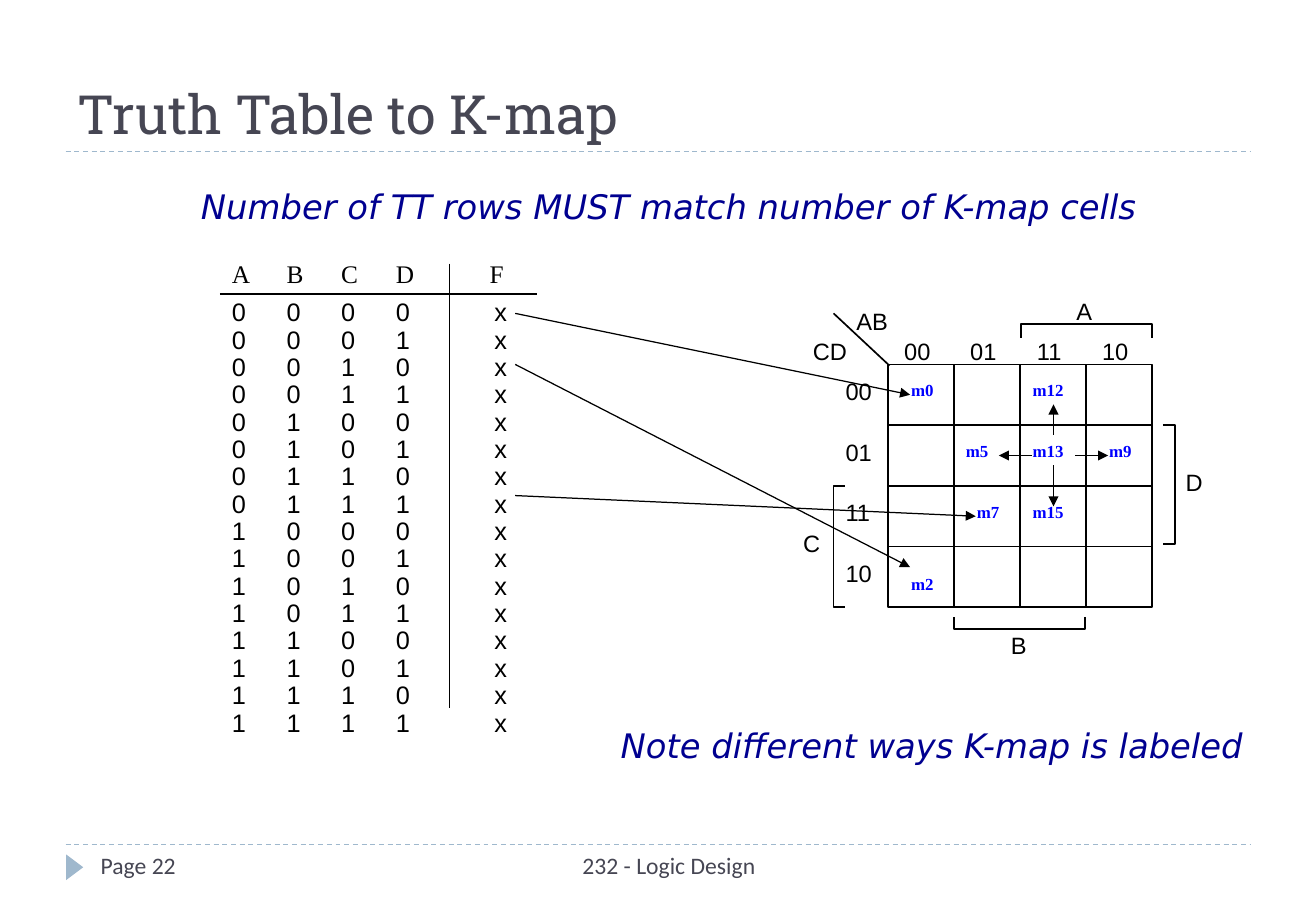
from dataclasses import dataclass

from lxml.etree import SubElement
from pptx import Presentation
from pptx.dml.color import RGBColor
from pptx.enum.dml import MSO_LINE
from pptx.enum.shapes import MSO_CONNECTOR, MSO_SHAPE
from pptx.enum.text import MSO_ANCHOR, MSO_AUTO_SIZE, PP_ALIGN
from pptx.oxml.ns import qn
from pptx.util import Inches, Pt

BLACK, SLATE, RULE, NAVY, BLUE = "000000", "464653", "9FB8CD", "000090", "0000FF"
LEFT, CENTER, RIGHT = PP_ALIGN.LEFT, PP_ALIGN.CENTER, PP_ALIGN.RIGHT
GRAY_CODES = ("00", "01", "11", "10")
MAP_LEFT, MAP_TOP, MAP_WIDTH, MAP_HEIGHT = 7.31, 3.0, 2.17, 2.0
CELL_WIDTH, CELL_HEIGHT = MAP_WIDTH / 4, MAP_HEIGHT / 4
TABLE_LEFT, TABLE_TOP, COLUMN_STEP = 1.81, 2.42, 0.45

Point = tuple[float, float]


@dataclass(frozen=True)
class Style:
    font: str
    size: float
    color: str = BLACK
    bold: bool = False
    italic: bool = False
    spacing: float = 1.0


@dataclass(frozen=True)
class Label:
    text: str
    left: float
    top: float
    width: float
    height: float
    style: Style
    align: PP_ALIGN = LEFT
    wrap: bool = False


@dataclass(frozen=True)
class Line:
    start: Point
    end: Point
    width: float = 1
    color: str = BLACK
    dashed: bool = False
    arrow: bool = False


TITLE = Style("Roboto Slab", 32, SLATE)
FOOTER = Style("Calibri", 14, SLATE)
NOTE = Style("DejaVu Sans", 20, NAVY, italic=True)
HEADER = Style("Times New Roman", 15)
BITS = Style("Arial", 15, spacing=0.9)
AXIS = Style("Arial", 14, spacing=0.9)
MINTERM = Style("Times New Roman", 10, BLUE, bold=True)

FOOTERS = [
    Label("232 - Logic Design", 3.43, 6.96, 4.15, 0.4, FOOTER, CENTER, True),
    Label("Page 22", 0.73, 6.96, 2.35, 0.4, FOOTER, wrap=True),
]
NOTES = [
    Label("Number of TT rows MUST match number of K-map cells",
          0.67, 1.48, 9.67, 0.44, NOTE, CENTER, True),
    Label("Note different ways K-map is labeled", 4.96, 5.92, 5.37, 0.44, NOTE, RIGHT),
]
VARIABLES = [
    Label("AB", 6.95, 2.5, 0.46, 0.31, AXIS),
    Label("CD", 6.59, 2.75, 0.48, 0.31, AXIS),
    Label("A", 8.76, 2.42, 0.33, 0.31, AXIS),
    Label("B", 8.22, 5.17, 0.33, 0.31, AXIS),
    Label("C", 6.5, 4.33, 0.36, 0.31, AXIS, CENTER),
    Label("D", 9.66, 3.83, 0.34, 0.31, AXIS),
]
MINTERMS = [
    Label(text, left, top, 0.48 if len(text) > 2 else 0.41, 0.27, MINTERM)
    for text, left, top in (
        ("m13", 8.4, 3.58), ("m12", 8.4, 3.08), ("m15", 8.4, 4.08),
        ("m5", 7.85, 3.58), ("m9", 9.03, 3.58), ("m0", 7.4, 3.08),
        ("m7", 7.94, 4.08), ("m2", 7.4, 4.67))
]
BRACKETS: list[list[Point]] = [
    [(8.4, 2.78), (8.4, 2.67), (9.48, 2.67), (9.48, 2.78)],
    [(6.95, 5), (6.86, 5), (6.86, 4), (6.95, 4)],
    [(8.93, 5.08), (8.93, 5.18), (7.85, 5.18), (7.85, 5.08)],
    [(9.57, 3.5), (9.67, 3.5), (9.67, 4.48), (9.57, 4.48)],
]
ARROWS = [
    Line(start, end, 0.75, arrow=True)
    for start, end in (
        ((4.24, 2.58), (7.49, 3.25)), ((4.24, 4.08), (8.03, 4.25)),
        ((4.24, 3), (7.49, 4.67)), ((8.85, 3.75), (9.12, 3.75)),
        ((8.67, 3.58), (8.67, 3.33)), ((8.67, 3.83), (8.67, 4.17)),
        ((8.49, 3.75), (8.22, 3.75)))
]


def rgb(color: str) -> RGBColor:
    return RGBColor.from_string(color)


def format_paragraphs(text_frame, style: Style, align: PP_ALIGN) -> None:
    for paragraph in text_frame.paragraphs:
        paragraph.alignment = align
        paragraph.line_spacing = style.spacing
        paragraph.space_before = paragraph.space_after = Pt(0)
        font = paragraph.font
        font.name, font.size = style.font, Pt(style.size)
        font.bold, font.italic = style.bold, style.italic
        font.color.rgb = rgb(style.color)


def add_label(slide, label: Label, tabs: tuple[float, ...] = ()) -> None:
    box = slide.shapes.add_textbox(
        Inches(label.left), Inches(label.top), Inches(label.width), Inches(label.height))
    text_frame = box.text_frame
    text_frame.word_wrap = label.wrap
    text_frame.text = label.text
    if tabs:
        properties = text_frame.paragraphs[0]._p.get_or_add_pPr()
        tab_list = SubElement(properties, qn("a:tabLst"))
        for position in tabs:
            SubElement(tab_list, qn("a:tab"), pos=str(Inches(position)), algn="l")
    format_paragraphs(text_frame, label.style, label.align)


def add_line(slide, line: Line):
    connector = slide.shapes.add_connector(
        MSO_CONNECTOR.STRAIGHT, *(Inches(value) for value in line.start + line.end))
    connector.line.color.rgb = rgb(line.color)
    connector.line.width = Pt(line.width)
    if line.dashed:
        connector.line.dash_style = MSO_LINE.DASH
    if line.arrow:
        SubElement(connector.line._get_or_add_ln(), qn("a:tailEnd"), type="triangle")
    SubElement(connector._element.spPr, qn("a:effectLst"))
    return connector


def outline(shape) -> None:
    shape.shadow.inherit = False
    shape.fill.background()
    shape.line.color.rgb = rgb(BLACK)
    shape.line.width = Pt(1)


def add_bracket(slide, points: list[Point]) -> None:
    corners = [(Inches(x), Inches(y)) for x, y in points]
    builder = slide.shapes.build_freeform(*corners[0])
    builder.add_line_segments(corners[1:], close=False)
    outline(builder.convert_to_shape())


def add_frame(slide) -> None:
    for y in (6.95, 1.25):
        add_line(slide, Line((0.54, y), (10.29, y), 0.75, RULE, dashed=True))
    marker = slide.shapes.add_shape(
        MSO_SHAPE.ISOSCELES_TRIANGLE, Inches(0.51), Inches(7.07), Inches(0.21), Inches(0.14))
    marker.rotation = 90
    marker.shadow.inherit = False
    marker.fill.solid()
    marker.fill.fore_color.rgb = rgb(RULE)
    marker.line.fill.background()
    title = slide.shapes.title
    title.left, title.top, title.width, title.height = map(Inches, (0.54, 0.17, 9.75, 1.08))
    title.text_frame.text = "Truth Table to K-map"
    title.text_frame.auto_size = MSO_AUTO_SIZE.NONE
    title.text_frame.vertical_anchor = MSO_ANCHOR.BOTTOM
    format_paragraphs(title.text_frame, TITLE, LEFT)


def add_truth_table(slide) -> None:
    for column in range(4):
        bits = "\n".join(str(row >> (3 - column) & 1) for row in range(16))
        left = TABLE_LEFT + column * COLUMN_STEP
        add_label(slide, Label(bits, left, TABLE_TOP, 0.33, 3.8, BITS))
    add_label(slide, Label("\n".join("x" * 16), 3.97, TABLE_TOP, 0.31, 3.8, BITS))
    add_line(slide, Line((TABLE_LEFT, TABLE_TOP), (4.42, TABLE_TOP)))
    add_line(slide, Line((3.7, 2.17), (3.7, 5.83)))
    header = Label("A\tB\tC\tD\tF", TABLE_LEFT, 2.08, 2.48, 0.36, HEADER, wrap=True)
    add_label(slide, header, (COLUMN_STEP, 2 * COLUMN_STEP, 3 * COLUMN_STEP, 2.12))


def add_karnaugh_map(slide) -> None:
    right, bottom = MAP_LEFT + MAP_WIDTH, MAP_TOP + MAP_HEIGHT
    grid = slide.shapes.add_shape(
        MSO_SHAPE.RECTANGLE, *map(Inches, (MAP_LEFT, MAP_TOP, MAP_WIDTH, MAP_HEIGHT)))
    outline(grid)
    for index in (1, 2, 3):
        x, y = MAP_LEFT + index * CELL_WIDTH, MAP_TOP + index * CELL_HEIGHT
        across = add_line(slide, Line((MAP_LEFT, y), (right, y)))
        down = add_line(slide, Line((x, MAP_TOP), (x, bottom)))
        if index == 2:
            across.begin_connect(grid, 1)
            across.end_connect(grid, 3)
            down.begin_connect(grid, 0)
            down.end_connect(grid, 2)
    for index, code in enumerate(GRAY_CODES):
        left = MAP_LEFT - 0.03 + index * CELL_WIDTH
        add_label(slide, Label(code, left, 2.75, 0.54, 0.31, AXIS, CENTER, True))
        add_label(slide, Label(code, 6.86, 3.08 + index * CELL_HEIGHT, 0.42, 0.31, AXIS))
    for points in BRACKETS:
        add_bracket(slide, points)
    add_line(slide, Line((7.32, 3.01), (6.86, 2.58)))


def main() -> None:
    presentation = Presentation()
    presentation.slide_width, presentation.slide_height = Inches(10.83), Inches(7.5)
    slide = presentation.slides.add_slide(presentation.slide_layouts[5])
    add_frame(slide)
    add_karnaugh_map(slide)
    add_truth_table(slide)
    for arrow in ARROWS:
        add_line(slide, arrow)
    for label in FOOTERS + NOTES + VARIABLES + MINTERMS:
        add_label(slide, label)
    presentation.save("out.pptx")


if __name__ == "__main__":
    main()
